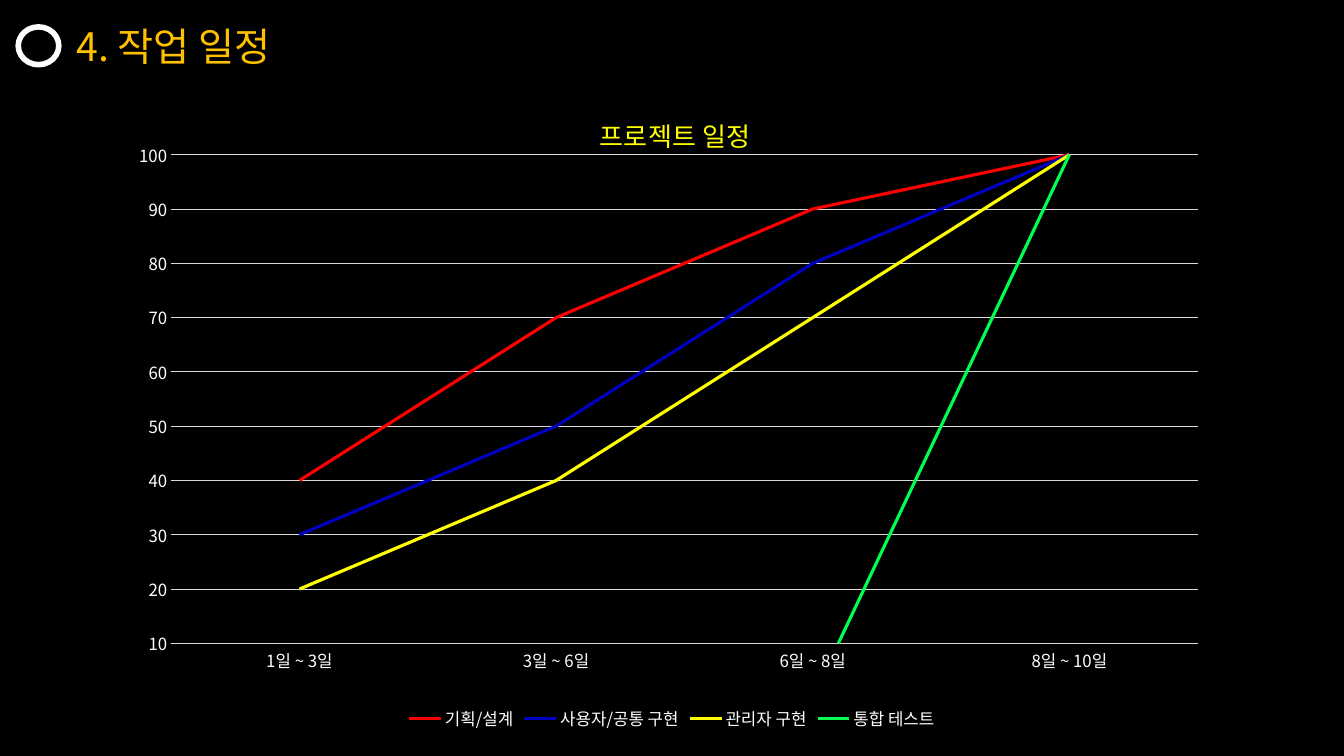
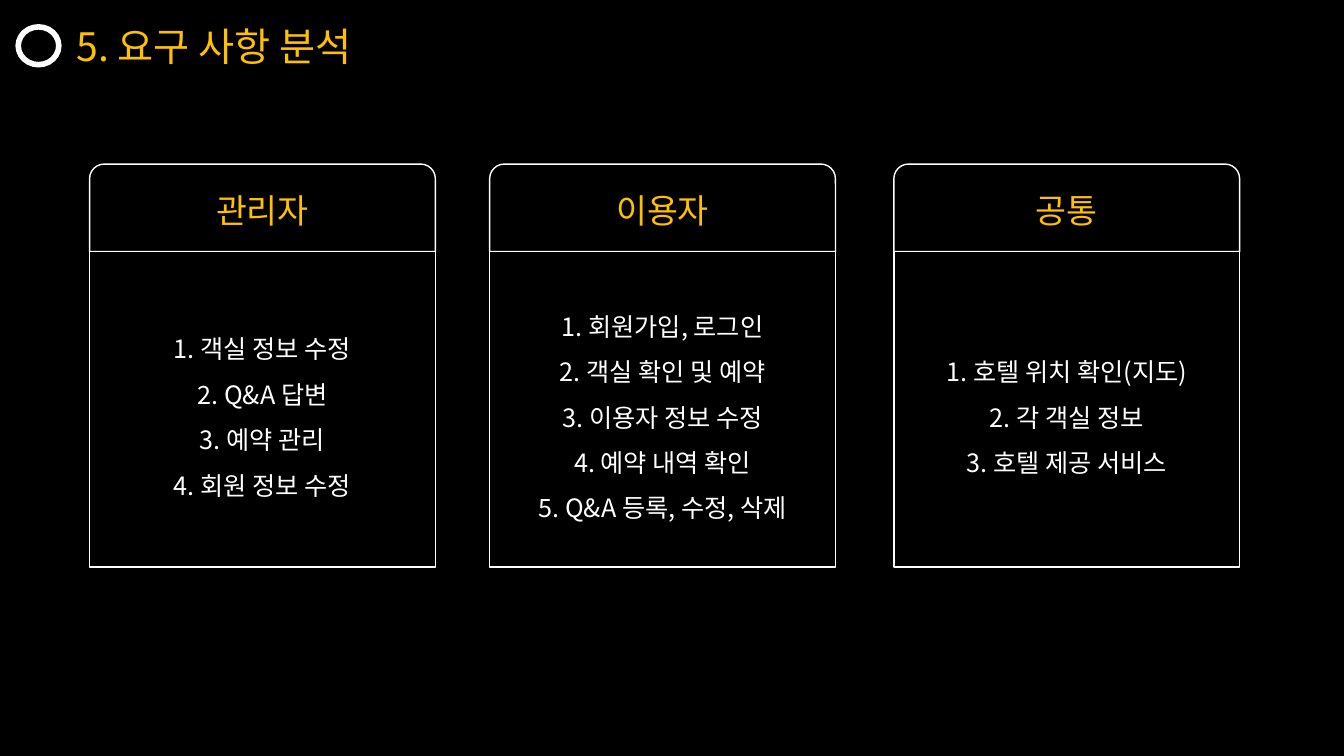
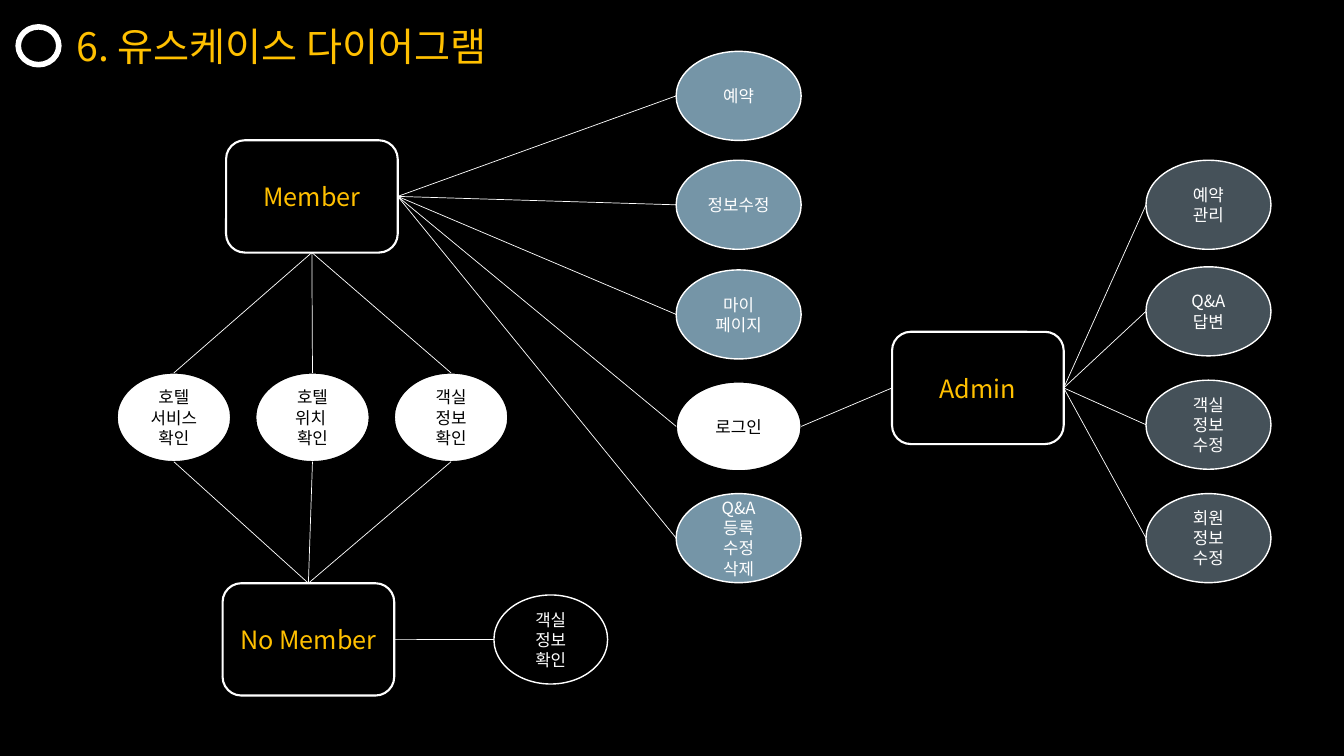
from dataclasses import dataclass
from typing import NamedTuple

from lxml import etree
from pptx import Presentation
from pptx.chart.data import CategoryChartData
from pptx.dml.color import RGBColor
from pptx.enum.chart import XL_CHART_TYPE, XL_LEGEND_POSITION, XL_MARKER_STYLE, XL_TICK_MARK
from pptx.enum.shapes import MSO_CONNECTOR, MSO_SHAPE
from pptx.enum.text import MSO_ANCHOR, MSO_AUTO_SIZE, PP_ALIGN
from pptx.oxml import parse_xml
from pptx.oxml.ns import nsdecls, qn
from pptx.util import Pt

ELLIPSE = MSO_SHAPE.OVAL
RECTANGLE = MSO_SHAPE.RECTANGLE
ROUNDED = MSO_SHAPE.ROUNDED_RECTANGLE
ROUNDED_TOP = MSO_SHAPE.ROUND_2_SAME_RECTANGLE
STRAIGHT = MSO_CONNECTOR.STRAIGHT
CENTER = PP_ALIGN.CENTER
MIDDLE = MSO_ANCHOR.MIDDLE
NO_TICK = XL_TICK_MARK.NONE
TOP, LEFT, BOTTOM, RIGHT = range(4)


@dataclass(frozen=True)
class Theme:
    font: str = "Noto Sans CJK KR"
    black: str = "000000"
    white: str = "FFFFFF"
    gold: str = "FFC000"
    yellow: str = "FFFF00"
    red: str = "FF0000"
    blue: str = "0000C0"
    green: str = "01FF50"
    grid: str = "D9D9D9"
    steel: str = "7595A7"
    slate: str = "455159"
    title: float = 28
    card_title: float = 24
    chart_title: float = 18.6
    body: float = 18
    small: float = 12


class Box(NamedTuple):
    left: float
    top: float
    width: float
    height: float

    def lengths(self):
        return [Pt(value) for value in self]


THEME = Theme()
PAGE = Box(0, 0, 960, 540)


def rgb(color):
    return RGBColor.from_string(color)


def style_font(font, size, color):
    font.size = Pt(size)
    font.color.rgb = rgb(color)
    font.name = THEME.font
    east_asian = etree.Element(qn("a:ea"), typeface=THEME.font)
    font._rPr.find(qn("a:latin")).addnext(east_asian)


def style_line(line, color, width):
    line.color.rgb = rgb(color)
    line.width = Pt(width)


def add_shape(slide, kind, box, fill, line, line_width):
    shape = slide.shapes.add_shape(kind, *box.lengths())
    shape.shadow.inherit = False
    shape.fill.solid()
    shape.fill.fore_color.rgb = rgb(fill)
    style_line(shape.line, line, line_width)
    return shape


def write_centered(shape, text, size, color, spacing=None):
    frame = shape.text_frame
    frame.word_wrap = True
    frame.vertical_anchor = MIDDLE
    frame.text = text
    for paragraph in frame.paragraphs:
        paragraph.alignment = CENTER
        paragraph.line_spacing = spacing
        style_font(paragraph.font, size, color)


def add_titled_slide(presentation, title):
    slide = presentation.slides.add_slide(presentation.slide_layouts[6])
    text_box = slide.shapes.add_textbox(*Box(47.5, 12.2, 366, 41).lengths())
    frame = text_box.text_frame
    frame.word_wrap = True
    frame.auto_size = MSO_AUTO_SIZE.SHAPE_TO_FIT_TEXT
    frame.text = title
    style_font(frame.paragraphs[0].font, THEME.title, THEME.gold)
    add_shape(slide, ELLIPSE, Box(13, 19.2, 29, 27), THEME.black, THEME.white, 4)
    return slide


def manual_layout(target=None, **positions):
    layout = parse_xml(f"<c:layout {nsdecls('c')}><c:manualLayout/></c:layout>")
    manual = layout[0]
    if target:
        etree.SubElement(manual, qn("c:layoutTarget"), val=target)
    for name in ("x", "y"):
        etree.SubElement(manual, qn(f"c:{name}Mode"), val="edge")
    for name, value in positions.items():
        etree.SubElement(manual, qn(f"c:{name}"), val=str(value))
    return layout


def add_schedule_chart(slide, box):
    series_data = (
        ("기획/설계", (40, 70, 90, 100), THEME.red),
        ("사용자/공통 구현", (30, 50, 80, 100), THEME.blue),
        ("관리자 구현", (20, 40, 70, 100), THEME.yellow),
        ("통합 테스트", (0, 0, 0, 100), THEME.green),
    )
    data = CategoryChartData()
    data.categories = ["1일 ~ 3일", "3일 ~ 6일", "6일 ~ 8일", "8일 ~ 10일"]
    for name, values, _ in series_data:
        data.add_series(name, values)
    chart = slide.shapes.add_chart(XL_CHART_TYPE.LINE, *box.lengths(), data).chart
    style_font(chart.font, THEME.small, THEME.white)

    title_frame = chart.chart_title.text_frame
    title_frame.text = "프로젝트 일정"
    title_font = title_frame.paragraphs[0].font
    title_font.bold = False
    style_font(title_font, THEME.chart_title, THEME.yellow)
    title = chart.chart_title._element
    for layout in title.findall(qn("c:layout")):
        title.remove(layout)
    title.find(qn("c:tx")).addnext(manual_layout(x=0.43, y=0.04))

    plot_area = chart._chartSpace.chart.plotArea
    for layout in plot_area.findall(qn("c:layout")):
        plot_area.remove(layout)
    plot_area.insert(0, manual_layout("inner", x=0.043, y=0.112, w=0.937, h=0.748))

    chart.has_legend = True
    chart.legend.position = XL_LEGEND_POSITION.BOTTOM
    chart.legend.include_in_layout = False
    style_font(chart.legend.font, THEME.small, THEME.white)

    for axis in (chart.category_axis, chart.value_axis):
        axis.major_tick_mark = axis.minor_tick_mark = NO_TICK
        style_font(axis.tick_labels.font, THEME.small, THEME.white)
    style_line(chart.category_axis.format.line, THEME.grid, 0.75)
    value_axis = chart.value_axis
    value_axis.minimum_scale = 10
    value_axis.maximum_scale = 100
    value_axis.major_unit = 10
    value_axis.format.line.fill.background()
    style_line(value_axis.major_gridlines.format.line, THEME.grid, 0.75)

    plot = chart.plots[0]
    plot.vary_by_categories = False
    for series, (_, _, color) in zip(plot.series, series_data):
        series.smooth = False
        series.marker.style = XL_MARKER_STYLE.NONE
        style_line(series.format.line, color, 2.25)


def add_requirement_card(slide, box, heading, items):
    header_height = 62.6
    header_box = box._replace(height=header_height)
    body_box = box._replace(top=box.top + header_height, height=box.height - header_height)
    header = add_shape(slide, ROUNDED_TOP, header_box, THEME.black, THEME.white, 1)
    write_centered(header, heading, THEME.card_title, THEME.gold)
    body = add_shape(slide, RECTANGLE, body_box, THEME.black, THEME.white, 1)
    write_centered(body, "\n".join(items), THEME.body, THEME.white, 1.5)


def add_actor(slide, left, top, name):
    actor = add_shape(slide, ROUNDED, Box(left, top, 122.6, 80.2), THEME.black, THEME.white, 1.5)
    write_centered(actor, name, THEME.body, THEME.gold)
    return actor


def add_use_case(slide, box, text, fill):
    is_shared = fill == THEME.white
    ink = THEME.black if is_shared else THEME.white
    use_case = add_shape(slide, ELLIPSE, box, fill, ink, 1)
    write_centered(use_case, text, THEME.small, ink)
    return use_case


def add_use_case_column(slide, left, entries):
    return [add_use_case(slide, Box(left, top, 89.3, 63.6), text, fill)
            for top, text, fill in entries]


def side_middle(shape, side):
    x = shape.left + {LEFT: 0, RIGHT: shape.width}.get(side, shape.width // 2)
    y = shape.top + {TOP: 0, BOTTOM: shape.height}.get(side, shape.height // 2)
    return x, y


def link(slide, actor, actor_side, use_case, use_case_side):
    start = side_middle(actor, actor_side)
    end = side_middle(use_case, use_case_side)
    connector = slide.shapes.add_connector(STRAIGHT, *start, *end)
    connector.begin_connect(actor, actor_side)
    style_line(connector.line, THEME.white, 0.5)
    etree.SubElement(connector._element.spPr, qn("a:effectLst"))


def build_schedule(presentation):
    slide = add_titled_slide(presentation, "4. 작업 일정")
    add_schedule_chart(slide, Box(88.6, 58.3, 782.6, 466.6))


def build_requirements(presentation):
    slide = add_titled_slide(presentation, "5. 요구 사항 분석")
    cards = (
        (64, "관리자", ("1. 객실 정보 수정", "2. Q&A 답변", "3. 예약 관리", "4. 회원 정보 수정")),
        (349.8, "이용자", ("1. 회원가입, 로그인", "2. 객실 확인 및 예약", "3. 이용자 정보 수정",
                        "4. 예약 내역 확인", "5. Q&A 등록, 수정, 삭제")),
        (638.5, "공통", ("1. 호텔 위치 확인(지도)", "2. 각 객실 정보", "3. 호텔 제공 서비스")),
    )
    for left, heading, items in cards:
        add_requirement_card(slide, Box(left, 117.2, 247, 287.8), heading, items)


def build_use_cases(presentation):
    slide = add_titled_slide(presentation, "6. 유스케이스 다이어그램")
    member = add_actor(slide, 161.5, 100.2, "Member")
    visitor = add_actor(slide, 159, 416.6, "No Member")
    admin = add_actor(slide, 637.2, 237, "Admin")

    shared_texts = ("호텔\n서비스\n확인", "호텔\n위치 \n확인", "객실\n정보\n확인")
    shared_cases = [
        add_use_case(slide, Box(83.6 + 99 * index, 266.4, 81.2, 63.4), text, THEME.white)
        for index, text in enumerate(shared_texts)
    ]
    visitor_case = add_use_case(slide, Box(352.8, 425, 81.2, 63.6), "객실\n정보\n확인", THEME.black)
    member_cases = add_use_case_column(slide, 483, (
        (36.7, "예약", THEME.steel),
        (114.5, "정보수정", THEME.steel),
        (192.8, "마이\n페이지", THEME.steel),
        (272.8, "로그인", THEME.white),
        (352.6, "Q&A\n등록\n수정\n삭제", THEME.steel),
    ))
    admin_cases = add_use_case_column(slide, 818.6, (
        (114.5, "예약\n관리", THEME.slate),
        (190.6, "Q&A\n답변", THEME.slate),
        (271.6, "객실\n정보\n수정", THEME.slate),
        (352.6, "회원\n정보\n수정", THEME.slate),
    ))

    for use_case in shared_cases:
        link(slide, member, BOTTOM, use_case, TOP)
        link(slide, visitor, TOP, use_case, BOTTOM)
    for actor, use_cases in ((visitor, [visitor_case]), (member, member_cases), (admin, admin_cases)):
        for use_case in use_cases:
            link(slide, actor, RIGHT, use_case, LEFT)
    login = member_cases[3]
    link(slide, admin, LEFT, login, RIGHT)


def main():
    presentation = Presentation()
    presentation.slide_width = Pt(PAGE.width)
    presentation.slide_height = Pt(PAGE.height)
    background = presentation.slide_master.background.fill
    background.solid()
    background.fore_color.rgb = rgb(THEME.black)
    build_schedule(presentation)
    build_requirements(presentation)
    build_use_cases(presentation)
    presentation.save("out.pptx")


if __name__ == "__main__":
    main()
